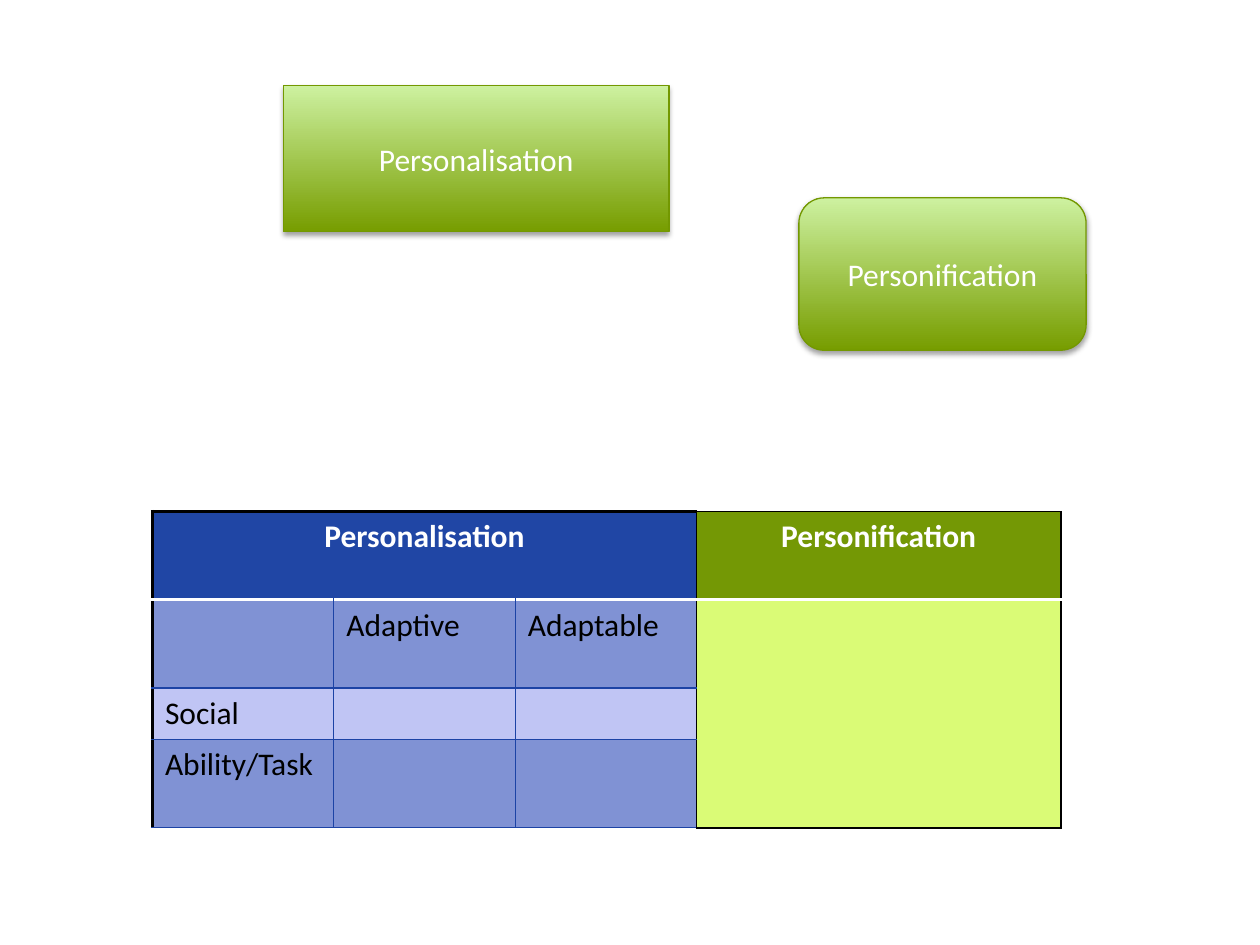
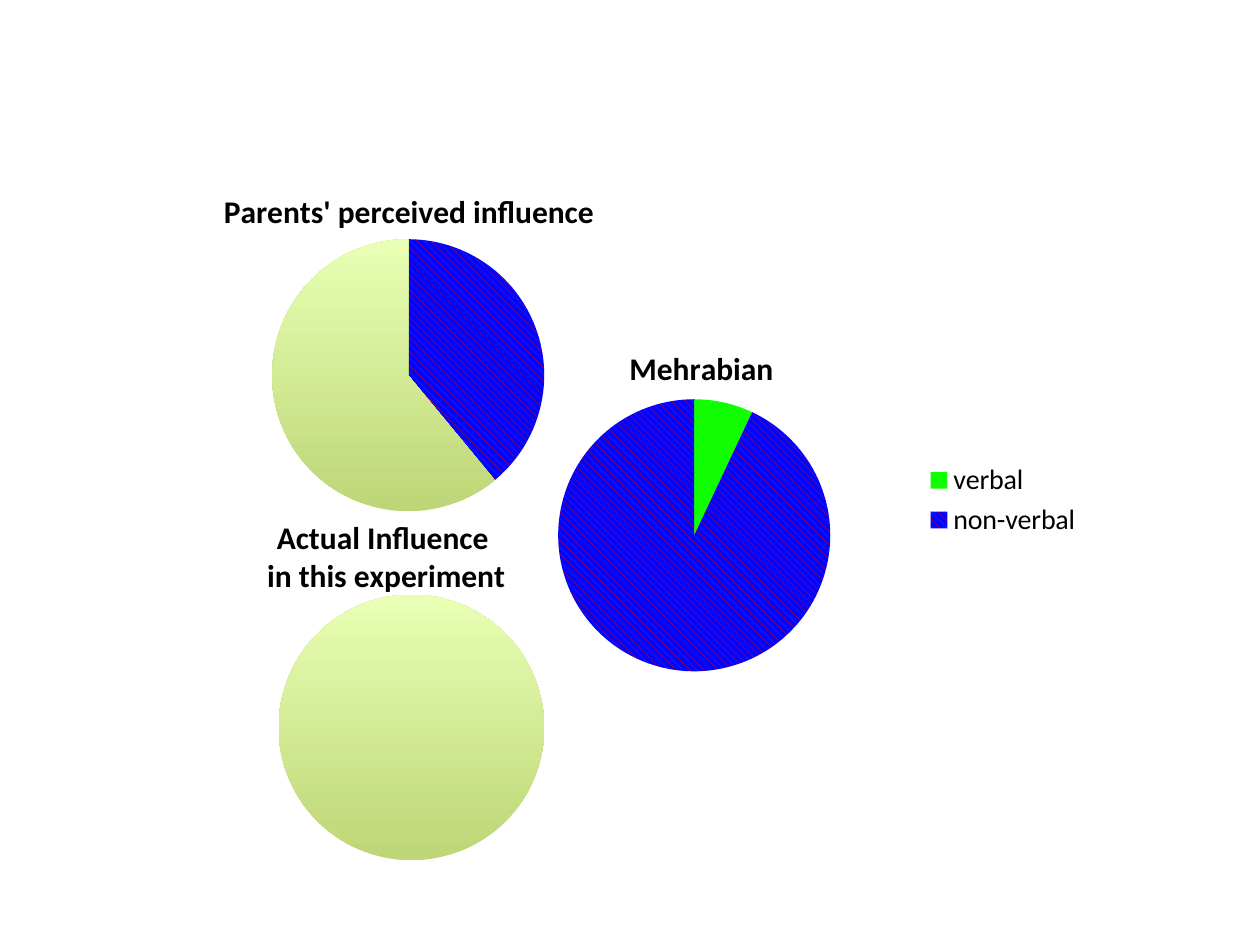
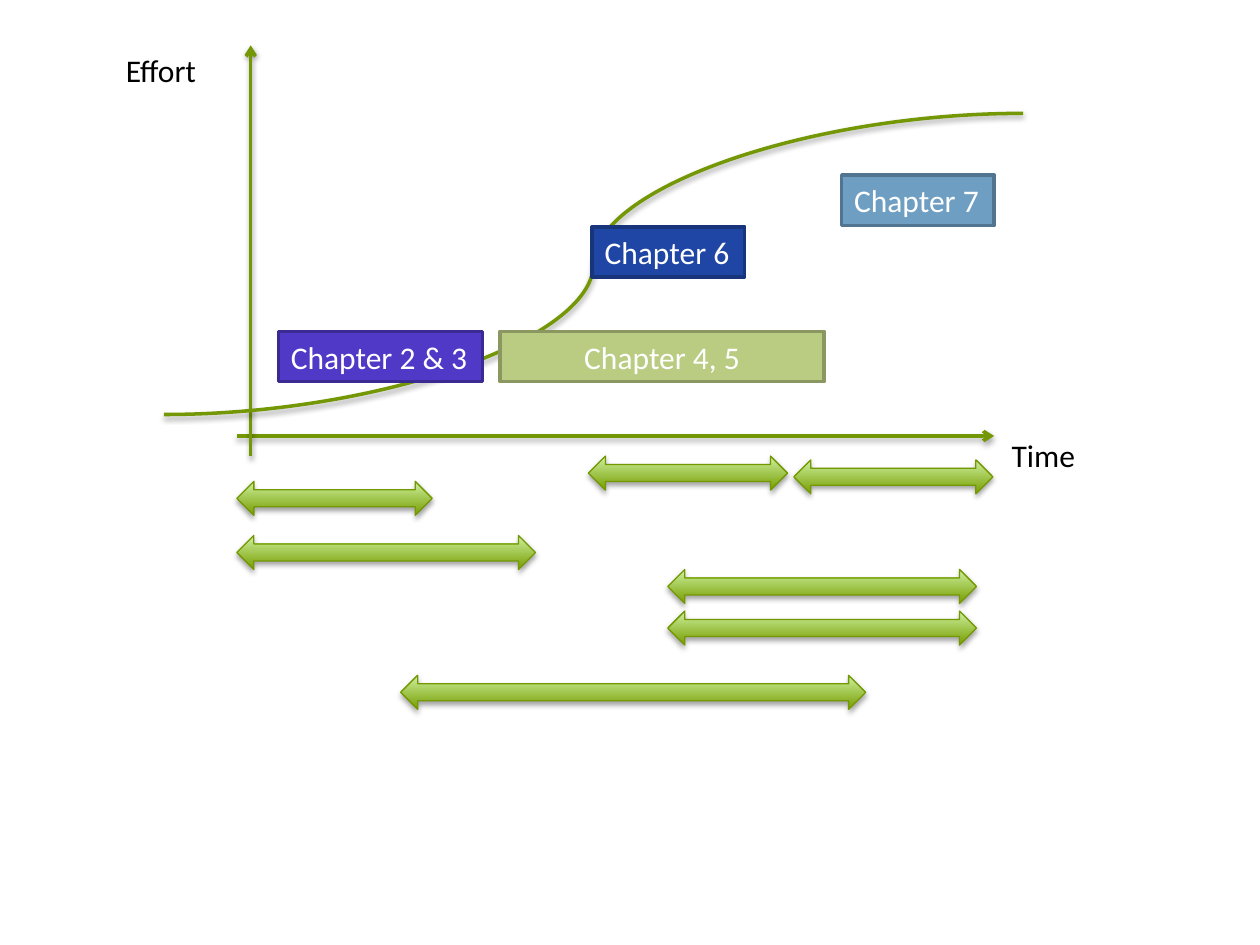
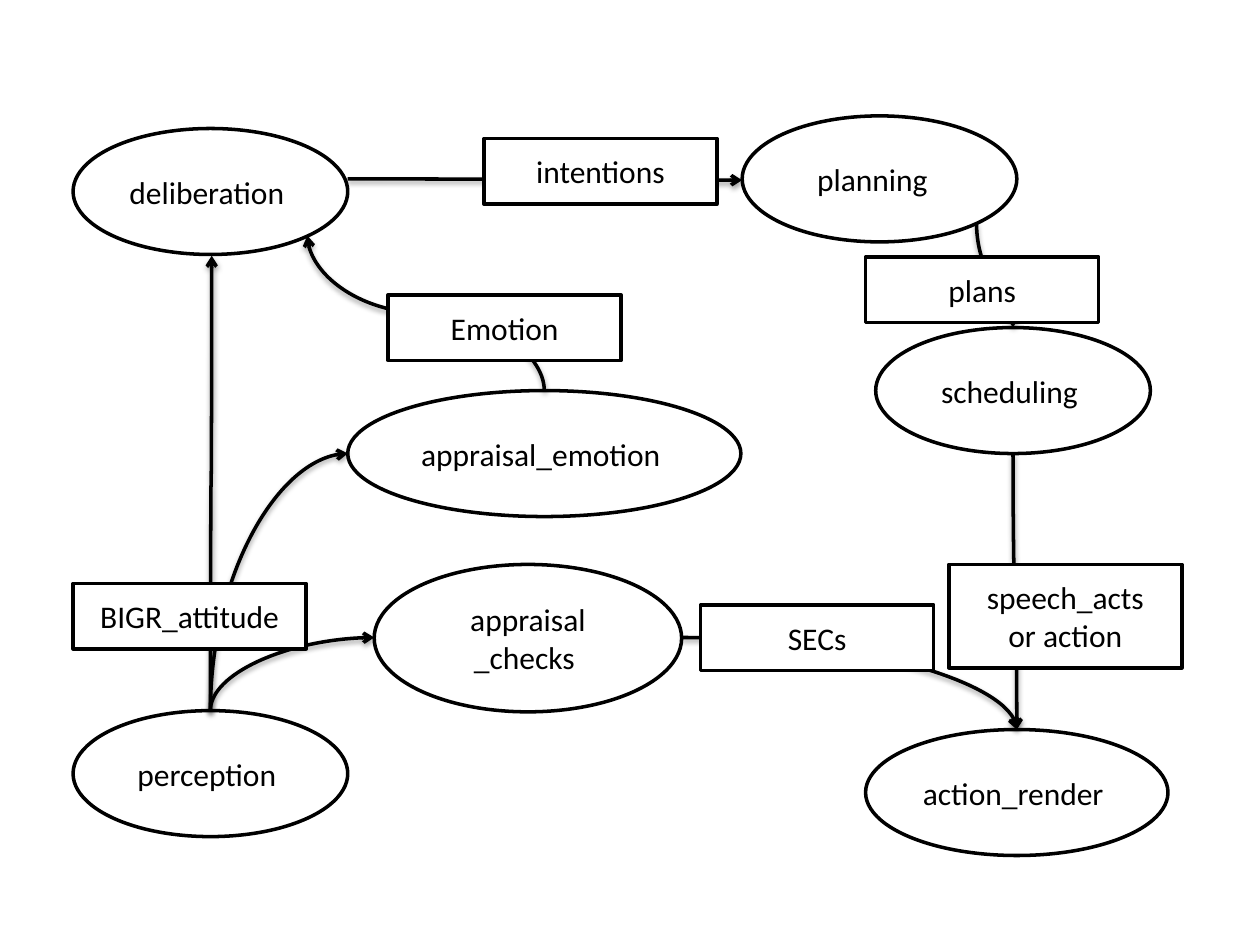
from dataclasses import dataclass

from pptx import Presentation
from pptx.chart.data import CategoryChartData
from pptx.dml.color import RGBColor
from pptx.enum.chart import XL_CHART_TYPE, XL_LEGEND_POSITION
from pptx.enum.dml import MSO_PATTERN_TYPE as PATTERN
from pptx.enum.shapes import MSO_CONNECTOR as CONNECTOR, MSO_SHAPE as SHAPE
from pptx.enum.text import MSO_ANCHOR as ANCHOR, PP_ALIGN as ALIGN
from pptx.oxml import parse_xml
from pptx.oxml.ns import nsdecls, qn
from pptx.util import Pt


@dataclass(frozen=True)
class Theme:
    font: str = "Calibri"
    body: int = 18
    legend: int = 16
    black: str = "000000"
    white: str = "FFFFFF"
    green: str = "749805"
    green_edge: str = "739801"
    gloss: tuple = ("779D00", "CDF1A0")
    pale_gloss: tuple = ("BED676", "E8FFB5")
    sage: str = "BACC82"
    sage_edge: str = "8A9760"
    lime: str = "DAFB76"
    blue: str = "2046A5"
    blue_edge: str = "18347A"
    blue_rule: str = "1C43A5"
    blue_dark_band: str = "8092D4"
    blue_light_band: str = "C0C5F4"
    violet: str = "5039C6"
    violet_edge: str = "3B2A92"
    sky: str = "6E9EC2"
    sky_edge: str = "517590"
    verbal: str = "11FF00"
    stripe: tuple = ("FF0000", "0005FF")


theme = Theme()
PX = 9144
rgb = RGBColor.from_string
SHADOW = (
    f'<a:effectLst {nsdecls("a")}><a:outerShdw blurRad="39370" dist="21600" dir="5400000" '
    'rotWithShape="0"><a:srgbClr val="000000"><a:alpha val="36000"/></a:srgbClr>'
    "</a:outerShdw></a:effectLst>"
)


def add_box(page, kind, place, text="", fill=theme.white, edge=theme.black, weight=2,
            ink=theme.black, align=ALIGN.CENTER, wrap=True):
    box = page.shapes.add_shape(kind, *(value * PX for value in place))
    if fill == theme.gloss:
        box.fill.gradient()
        box.fill.gradient_angle = 90
        for stop, color in zip(box.fill.gradient_stops, fill):
            stop.color.rgb = rgb(color)
    else:
        box.fill.solid()
        box.fill.fore_color.rgb = rgb(fill)
    box.line.color.rgb = rgb(edge)
    box.line.width = Pt(weight)
    if fill == theme.gloss:
        box._element.spPr.append(parse_xml(SHADOW))
    else:
        box.shadow.inherit = False
    if text:
        frame = box.text_frame
        frame.text = text
        frame.word_wrap = wrap
        frame.vertical_anchor = ANCHOR.MIDDLE
        for para in frame.paragraphs:
            para.alignment = align
            para.font.name = theme.font
            para.font.size = Pt(theme.body)
            para.font.color.rgb = rgb(ink)
    return box


def add_wire(page, kind, begin, end, color=theme.black, arrow=True, upright=False, bend=None):
    (x1, y1), (x2, y2) = begin, end
    if upright:
        middle_x, middle_y = (x1 + x2) / 2, (y1 + y2) / 2
        half_x, half_y = (x2 - x1) / 2, (y2 - y1) / 2
        x1, y1 = middle_x - half_y, middle_y + half_x
        x2, y2 = middle_x + half_y, middle_y - half_x
    wire = page.shapes.add_connector(kind, *(int(value * PX) for value in (x1, y1, x2, y2)))
    wire.line.color.rgb = rgb(color)
    wire.line.width = Pt(2)
    shape_xml = wire._element.spPr
    if upright:
        shape_xml.find(qn("a:xfrm")).set("rot", "5400000")
    if bend:
        shape_xml.find(qn("a:prstGeom")).set("prst", bend)
    if arrow:
        shape_xml.find(qn("a:ln")).append(parse_xml(f'<a:tailEnd {nsdecls("a")} type="arrow"/>'))
    shape_xml.append(parse_xml(SHADOW))
    return wire


deck = Presentation()
deck.slide_width, deck.slide_height = 1000 * PX, 750 * PX
blank = deck.slide_layouts[6]

page = deck.slides.add_slide(blank)
for kind, place, text in [
    (SHAPE.RECTANGLE, (225, 68, 306, 116), "Personalisation"),
    (SHAPE.ROUNDED_RECTANGLE, (634, 157, 228, 121), "Personification"),
]:
    add_box(page, kind, place, text, theme.gloss, theme.green_edge, 0.75, theme.white)

words = [
    ["Personalisation", "", "", "Personification"],
    ["", "Adaptive", "Adaptable", ""],
    ["Social", "", "", ""],
    ["Ability/Task", "", "", ""],
]
bands = [theme.blue, theme.blue_dark_band, theme.blue_light_band, theme.blue_dark_band]
table = page.shapes.add_table(4, 4, 121 * PX, 406 * PX, 721 * PX, 251 * PX).table
for column, width in zip(table.columns, (144, 144, 144, 289)):
    column.width = width * PX
for row, height in zip(table.rows, (70, 70, 41, 70)):
    row.height = height * PX
table.cell(0, 0).merge(table.cell(0, 2))
table.cell(1, 3).merge(table.cell(3, 3))

thick, thin = (theme.black, 2.25), (theme.black, 1)
inner, header_rule = (theme.blue_rule, 0.75), (theme.white, 2)
for r, band in enumerate(bands):
    for c in range(4):
        last = c == 3
        cell = table.cell(r, c)
        if words[r][c]:
            cell.text = words[r][c]
            para = cell.text_frame.paragraphs[0]
            para.alignment = ALIGN.CENTER if r == 0 else ALIGN.LEFT
            font = para.runs[0].font
            font.name, font.size, font.bold = theme.font, Pt(theme.body), r == 0
            font.color.rgb = rgb(theme.white if r == 0 else theme.black)
        cell.fill.solid()
        cell.fill.fore_color.rgb = rgb((theme.green if r == 0 else theme.lime) if last else band)
        borders = {
            "lnL": thick if c == 0 else thin if last else inner,
            "lnR": thin if c >= 2 else inner,
            "lnT": (thin if last else thick) if r == 0 else header_rule if r == 1 else inner,
            "lnB": header_rule if r == 0 else thin if last else inner,
        }
        for index, (side, (color, weight)) in enumerate(borders.items()):
            cell._tc.get_or_add_tcPr().insert(index, parse_xml(
                f'<a:{side} {nsdecls("a")} w="{int(Pt(weight))}"><a:solidFill>'
                f'<a:srgbClr val="{color}"/></a:solidFill></a:{side}>'))

page = deck.slides.add_slide(blank)
pies = [
    ("Parents' perceived influence", (131, 120, 386, 300), (173, 146), (216, 190, 216),
     ["1", "2"], [("Series 1", [39, 61], [theme.stripe, theme.pale_gloss]),
                  ("Series 2", [0], [theme.green])]),
    ("Mehrabian", (369, 247, 500, 300), (495, 270), (443, 317, 216),
     ["verbal", "non-verbal"], [("Mehrabian", [7, 93], [theme.verbal, theme.stripe])]),
    ("Actual Influence \nin this experiment", (131, 376, 392, 320), (209, 407), (221, 472, 211),
     ["1", "2"], [("Series 1", [0, 100], [theme.green, theme.pale_gloss])]),
]
for title, place, title_at, disc, categories, series_list in pies:
    data = CategoryChartData()
    data.categories = categories
    for name, values, fills in series_list:
        data.add_series(name, values)
    chart = page.shapes.add_chart(XL_CHART_TYPE.PIE, *(value * PX for value in place), data).chart
    chart.replace_data(data)
    chart.font.name, chart.font.size = theme.font, Pt(10)
    chart.font.color.rgb = rgb(theme.black)
    chart.has_title = True
    chart.chart_title.text_frame.text = title
    for para in chart.chart_title.text_frame.paragraphs:
        for span in para.runs:
            span.font.name, span.font.size, span.font.bold = theme.font, Pt(theme.body), True
            span.font.color.rgb = rgb(theme.black)
    chart.has_legend = "verbal" in categories
    if chart.has_legend:
        chart.legend.position = XL_LEGEND_POSITION.RIGHT
        chart.legend.include_in_layout = False
        chart.legend.font.size = Pt(theme.legend)
    chart.plots[0].vary_by_categories = True
    for series, (name, values, fills) in zip(chart.plots[0].series, series_list):
        for index, color in enumerate(fills):
            fill = series.points[index].format.fill
            if color == theme.stripe:
                fill.patterned()
                fill.pattern = PATTERN.WIDE_DOWNWARD_DIAGONAL
                fill.fore_color.rgb, fill.back_color.rgb = map(rgb, color)
            elif color == theme.pale_gloss:
                fill.gradient()
                fill.gradient_angle = 90
                for stop, shade in zip(fill.gradient_stops, color):
                    stop.color.rgb = rgb(shade)
            else:
                fill.solid()
                fill.fore_color.rgb = rgb(color)
    left, top, width, height = place
    disc_left, disc_top, size = disc
    plot_area = chart._chartSpace.chart.plotArea
    for parent, index, target, (x, y), extent in [
        (chart.chart_title._element, 1, "", title_at, {}),
        (plot_area, 0, '<c:layoutTarget val="inner"/>', (disc_left, disc_top),
         {"w": size / width, "h": size / height}),
    ]:
        old = parent.find(qn("c:layout"))
        if old is not None:
            parent.remove(old)
        spots = {"x": (x - left) / width, "y": (y - top) / height, **extent}
        parent.insert(index, parse_xml(
            f'<c:layout {nsdecls("c")}><c:manualLayout>{target}'
            '<c:xMode val="edge"/><c:yMode val="edge"/>'
            + "".join(f'<c:{key} val="{value:.3f}"/>' for key, value in spots.items())
            + "</c:manualLayout></c:layout>"))

page = deck.slides.add_slide(blank)
add_wire(page, CONNECTOR.STRAIGHT, (188, 346), (789, 346), theme.green)
add_wire(page, CONNECTOR.STRAIGHT, (199, 362), (199, 36), theme.green)
for text, place in [("Effort", (90, 36, 78, 40)), ("Time", (793, 341, 71, 40))]:
    label = page.shapes.add_textbox(*(value * PX for value in place))
    label.text_frame.text = text
    label.text_frame.word_wrap = False
    font = label.text_frame.paragraphs[0].runs[0].font
    font.name, font.size = theme.font, Pt(theme.body)
    font.color.rgb = rgb(theme.black)
add_wire(page, CONNECTOR.CURVE, (130, 329), (812, 90), theme.green, arrow=False)
for left, top, width in [
    (188, 382, 155), (188, 425, 237), (318, 536, 369), (530, 485, 245),
    (530, 452, 245), (467, 362, 158), (630, 365, 158),
]:
    add_box(page, SHAPE.LEFT_RIGHT_ARROW, (left, top, width, 27),
            fill=theme.gloss, edge=theme.green_edge, weight=0.75)
for text, (left, top, width), fill, edge, align, wrap in [
    ("Chapter 2 & 3", (221, 263, 162), theme.violet, theme.violet_edge, ALIGN.LEFT, False),
    ("Chapter 4, 5", (397, 263, 257), theme.sage, theme.sage_edge, ALIGN.CENTER, True),
    ("Chapter 6", (470, 180, 121), theme.blue, theme.blue_edge, ALIGN.LEFT, False),
    ("Chapter 7", (668, 139, 121), theme.sky, theme.sky_edge, ALIGN.LEFT, False),
]:
    add_box(page, SHAPE.RECTANGLE, (left, top, width, 40), text, fill, edge,
            ink=theme.white, align=align, wrap=wrap)

page = deck.slides.add_slide(blank)
for text, place in [
    ("perception ", (58, 564, 218, 100)),
    ("planning  ", (589, 92, 218, 100)),
    ("deliberation ", (58, 102, 218, 100)),
    ("scheduling ", (695, 260, 218, 100)),
    ("action_render ", (687, 579, 240, 100)),
    ("appraisal_emotion ", (276, 310, 312, 100)),
    ("appraisal\n_checks ", (297, 448, 244, 117)),
]:
    add_box(page, SHAPE.OVAL, place, text)
for begin, end, upright, bend in [
    ((167, 564), (297, 506), True, "curvedConnector2"),
    ((167, 564), (276, 360), True, "curvedConnector2"),
    ((167, 565), (168, 203), True, "curvedConnector3"),
    ((276, 142), (589, 143), False, "curvedConnector3"),
    ((775, 177), (804, 260), True, "curvedConnector3"),
    ((804, 360), (807, 579), True, "curvedConnector3"),
    ((541, 506), (807, 579), False, "curvedConnector2"),
    ((432, 310), (244, 187), True, "curvedConnector3"),
]:
    add_wire(page, CONNECTOR.CURVE, begin, end, upright=upright, bend=bend)
for text, left, top, height in [
    ("BIGR_attitude", 58, 463, 52),
    ("Emotion", 308, 234, 52),
    ("intentions", 384, 110, 52),
    ("plans", 687, 204, 52),
    ("speech_acts\nor action", 753, 448, 82),
    ("SECs", 556, 480, 52),
]:
    add_box(page, SHAPE.RECTANGLE, (left, top, 185, height), text)

deck.save("out.pptx")
